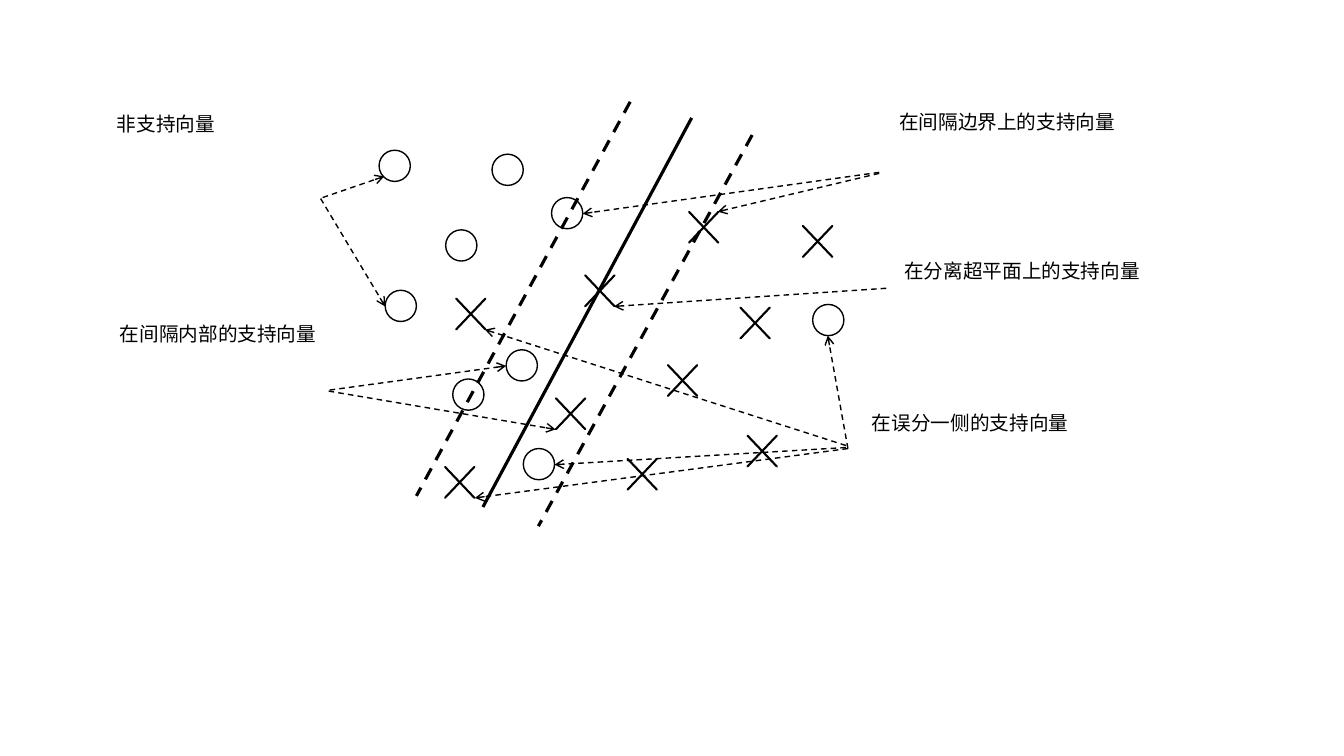
from pptx import Presentation
from pptx.dml.color import RGBColor
from pptx.enum.dml import MSO_LINE_DASH_STYLE as Dash
from pptx.enum.shapes import MSO_CONNECTOR as Connector, MSO_SHAPE as Shape
from pptx.enum.text import MSO_AUTO_SIZE as AutoSize
from pptx.oxml.ns import qn
from pptx.util import Inches, Pt
from lxml import etree

COLORS = {"ink": "000000"}
FONT = "Noto Sans CJK SC"

prs = Presentation()
prs.slide_width = Inches(13.33)
prs.slide_height = Inches(7.5)
slide = prs.slides.add_slide(prs.slide_layouts[6])


def add_label(text, left, top, width, height=0.34, size=14, color="ink"):
    label = slide.shapes.add_textbox(Inches(left), Inches(top), Inches(width), Inches(height))
    frame = label.text_frame
    frame.word_wrap = True
    frame.auto_size = AutoSize.SHAPE_TO_FIT_TEXT
    run = frame.paragraphs[0].add_run()
    run.text = text
    run.font.size = Pt(size)
    run.font.name = FONT
    run.font.color.rgb = RGBColor.from_string(COLORS[color])
    etree.SubElement(run.font._element, qn("a:ea"), typeface=FONT)


def add_line(start, end, weight=1, dashed=True, arrow=False):
    line = slide.shapes.add_connector(Connector.STRAIGHT, *map(Inches, start + end))
    line.line.color.rgb = RGBColor.from_string(COLORS["ink"])
    line.line.width = Pt(weight)
    if dashed:
        line.line.dash_style = Dash.DASH
    if arrow:
        etree.SubElement(line.line._get_or_add_ln(), qn("a:tailEnd"), type="arrow")
    etree.SubElement(line._element.spPr, qn("a:effectLst"))


negative_samples = [
    (3.76, 1.49), (4.88, 1.53), (5.47, 1.96), (4.42, 2.28), (3.82, 2.88),
    (5.02, 3.47), (4.49, 3.76), (5.19, 4.45), (8.06, 3.02),
]
positive_samples = [
    (6.7, 1.96), (7.83, 2.1), (5.67, 2.59), (4.39, 2.82), (7.21, 2.91), (6.49, 3.48),
    (5.38, 3.81), (7.28, 4.18), (6.09, 4.41), (4.28, 4.49),
]
sample_classes = [
    (Shape.OVAL, negative_samples, 0.31, 0.31, 1),
    (Shape.MATH_MULTIPLY, positive_samples, 0.56, 0.59, 1.5),
]
for marker, samples, width, height, weight in sample_classes:
    for left, top in samples:
        sample = slide.shapes.add_shape(
            marker, Inches(left), Inches(top), Inches(width), Inches(height))
        sample.shadow.inherit = False
        sample.fill.background()
        sample.line.color.rgb = RGBColor.from_string(COLORS["ink"])
        sample.line.width = Pt(weight)
        if marker == Shape.MATH_MULTIPLY:
            sample.adjustments[0] = 0

add_line((6.25, 1.01), (4.13, 4.92), weight=2.25)
add_line((6.86, 1.17), (4.79, 5.03), weight=2.25, dashed=False)
add_line((7.46, 1.34), (5.34, 5.22), weight=2.25)

vector_groups = [
    ("非支持向量", (1.06, 1.06, 2.22),
     [((3.2, 1.96), (3.81, 1.75)), ((3.18, 1.97), (3.82, 3.04))]),
    ("在间隔内部的支持向量", (1.09, 3.14, 2.22),
     [((3.27, 3.87), (5.02, 3.63)), ((3.26, 3.88), (5.51, 4.26))]),
    ("在间隔边界上的支持向量", (8.82, 1.04, 2.53),
     [((8.72, 1.71), (5.78, 2.12)), ((8.72, 1.72), (7.12, 2.1))]),
    ("在分离超平面上的支持向量", (8.87, 2.52, 2.73),
     [((8.79, 2.86), (6.09, 3.04))]),
    ("在误分一侧的支持向量", (8.55, 4.03, 2.73),
     [((8.41, 4.45), (8.21, 3.33)), ((8.39, 4.42), (4.81, 3.27)),
      ((8.39, 4.44), (5.5, 4.61)), ((8.41, 4.45), (4.71, 4.94))]),
]
for text, (left, top, width), pointers in vector_groups:
    add_label(text, left=left, top=top, width=width)
    for start, end in pointers:
        add_line(start, end, arrow=True)

prs.save("out.pptx")
